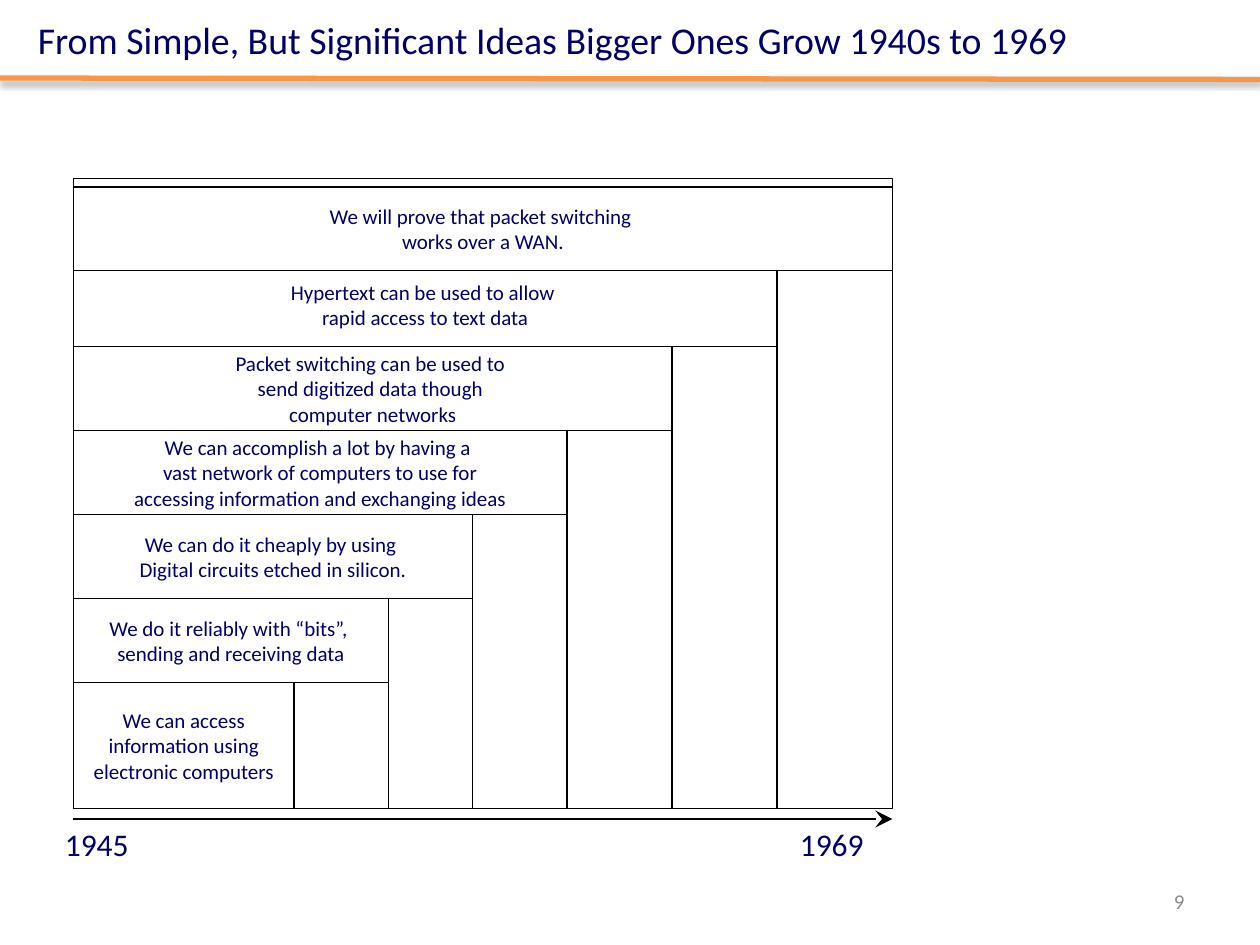
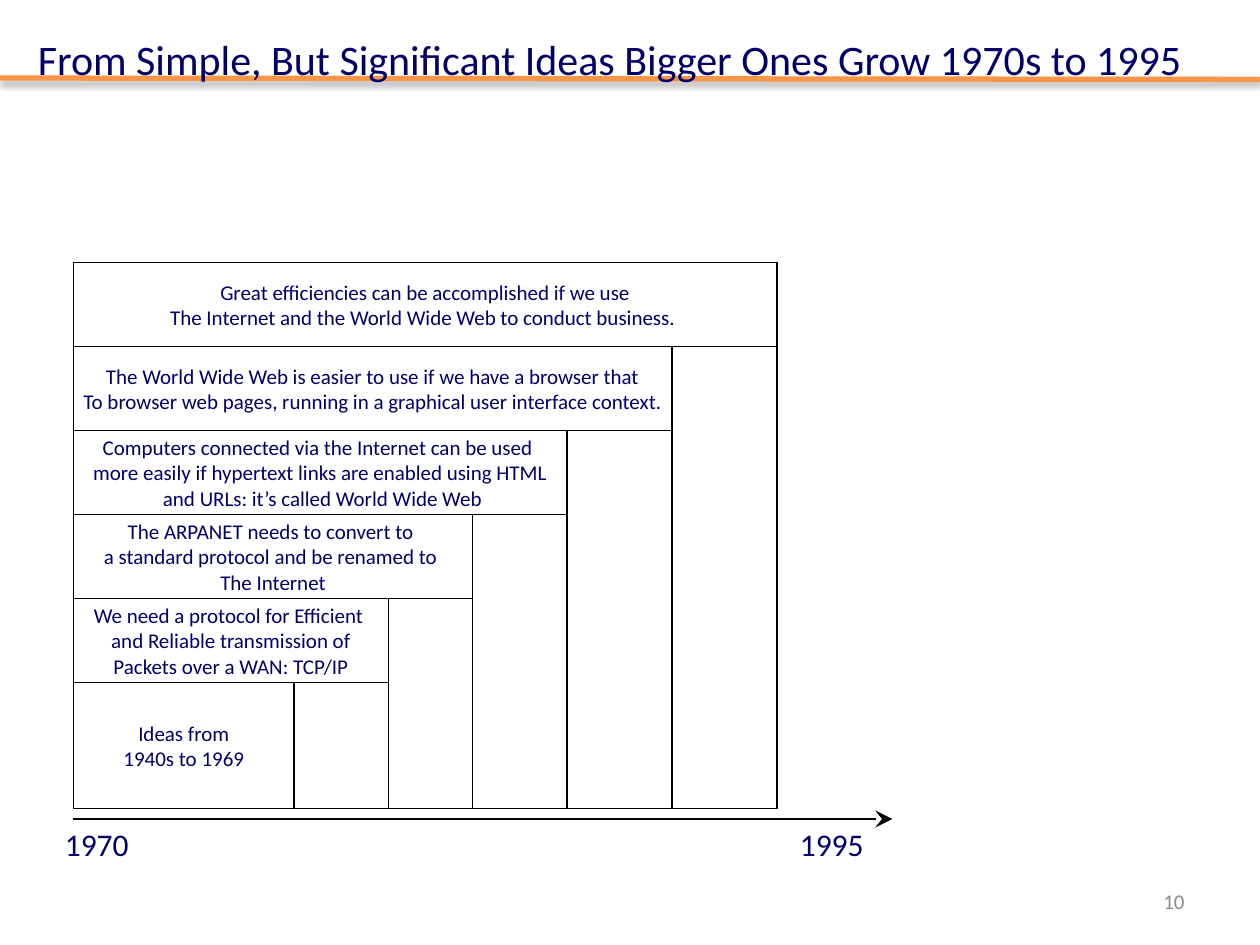
from lxml import etree
from pptx import Presentation
from pptx import util as u
from pptx.dml import color
from pptx.enum import shapes, text
from pptx.oxml import parse_xml
from pptx.oxml.ns import nsdecls, qn

Pt = u.Pt
COLORS = {"ink": "000066", "line": "000000", "paper": "FFFFFF", "rule": "F79646", "number": "8C8C8C"}
FONT = "Calibri"
LEFT, BOTTOM, FIRST_H, BAND_H = 42, 462, 72, 48
WIDTHS = [126, 180, 228, 282, 342, 402, 468]
TOPS = [BOTTOM - FIRST_H - BAND_H * i for i in range(len(WIDTHS))]

SLIDES = [
    {
        "title": "From Simple, But Significant Ideas Bigger Ones Grow 1940s to 1969",
        "title_box": (14.4, 9.4, 680.4, 26.6),
        "title_size": 21.6,
        "years": ("1945", "1969"),
        "number": "9",
        "top_gap": 4.8,
        "ideas": [
            ["We can access", " information using ", "electronic computers"],
            ["We do it reliably with “bits”, ", "sending and receiving data"],
            ["We can do it cheaply by using ", "Digital circuits etched in silicon."],
            ["We can accomplish a lot by having a ", "vast network of computers to use for",
             "accessing information and exchanging ideas"],
            ["Packet switching can be used to ", "send digitized data though ", "computer networks"],
            ["Hypertext can be used to allow ", "rapid access to text data"],
            ["We will prove that packet switching ", "works over a WAN."],
        ],
    },
    {
        "title": "From Simple, But Significant Ideas Bigger Ones Grow 1970s to 1995",
        "title_box": (14.4, 9.4, 692, 48),
        "title_size": 24,
        "years": ("1970", "1995"),
        "number": "10",
        "top_gap": 0,
        "ideas": [
            ["Ideas from", "1940s to 1969"],
            ["We need a protocol for Efficient ", "and Reliable transmission of",
             "Packets over a WAN: TCP/IP"],
            ["The ARPANET needs to convert to ", "a standard protocol and be renamed to ",
             "The Internet"],
            ["Computers connected via the Internet can be used ",
             "more easily if hypertext links are enabled using HTML",
             " and URLs: it’s called World Wide Web"],
            ["The World Wide Web is easier to use if we have a browser that",
             "To browser web pages, running in a graphical user interface context."],
            ["Great efficiencies can be accomplished if we use",
             "The Internet and the World Wide Web to conduct business. "],
        ],
    },
]


def write(sp, lines, size, align, ink="ink", **frame):
    tf = sp.text_frame
    for name, value in frame.items():
        setattr(tf, name, value)
    for i, line in enumerate(lines):
        p = tf.paragraphs[0] if i == 0 else tf.add_paragraph()
        p.alignment = align
        r = p.add_run()
        r.text = line
        for name, value in {"name": FONT, "size": Pt(size), "bold": False}.items():
            setattr(r.font, name, value)
        r.font.color.rgb = color.RGBColor.from_string(COLORS[ink])


def add_box(slide, top, width, height):
    sp = slide.shapes.add_shape(shapes.MSO_SHAPE.RECTANGLE, Pt(LEFT), Pt(top), Pt(width), Pt(height))
    sp.shadow.inherit = False
    sp.fill.solid()
    sp.fill.fore_color.rgb = color.RGBColor.from_string(COLORS["paper"])
    sp.line.color.rgb = color.RGBColor.from_string(COLORS["line"])
    sp.line.width = Pt(0.75)
    return sp


prs = Presentation()
prs.slide_width, prs.slide_height = Pt(720), Pt(540)
layout = prs.slide_layouts[5]
align = text.PP_ALIGN
middle = text.MSO_ANCHOR.MIDDLE

for page in SLIDES:
    slide = prs.slides.add_slide(layout)

    title = slide.shapes.title
    for name, value in zip(("left", "top", "width", "height"), page["title_box"]):
        setattr(title, name, Pt(value))
    write(title, [page["title"]], page["title_size"], align.LEFT,
          vertical_anchor=middle, word_wrap=True, auto_size=text.MSO_AUTO_SIZE.NONE)

    steps = list(zip(TOPS, WIDTHS, page["ideas"]))
    for top, width, _ in reversed(steps[1:]):
        add_box(slide, top, width, BOTTOM - top)
    for i, (top, width, lines) in enumerate(steps):
        gap = page["top_gap"] if i == len(steps) - 1 else 0
        band = add_box(slide, top + gap, width, BAND_H if i else FIRST_H)
        write(band, lines, 12, align.CENTER, vertical_anchor=middle, word_wrap=False)

    axis = slide.shapes.add_connector(shapes.MSO_CONNECTOR.STRAIGHT, Pt(LEFT), Pt(468),
                                      Pt(LEFT + WIDTHS[-1]), Pt(468))
    axis.line.color.rgb = color.RGBColor.from_string(COLORS["line"])
    axis.line.width = Pt(0.75)
    etree.SubElement(axis.line._get_or_add_ln(), qn("a:tailEnd"), type="stealth", w="lg", len="lg")
    etree.SubElement(axis.element.spPr, qn("a:effectLst"))

    for left, year in zip((30, 450), page["years"]):
        label = slide.shapes.add_textbox(Pt(left), Pt(468), Pt(62.6), Pt(36))
        write(label, [year], 18, align.LEFT, word_wrap=False,
              auto_size=text.MSO_AUTO_SIZE.SHAPE_TO_FIT_TEXT)

    number = slide.shapes.add_textbox(Pt(516), Pt(500.5), Pt(168), Pt(28.75))
    write(number, [page["number"]], 12, align.RIGHT, "number", vertical_anchor=middle, word_wrap=True)

rule = slide.shapes.add_connector(shapes.MSO_CONNECTOR.STRAIGHT, 0, Pt(44.6), Pt(720), Pt(45.4))
rule.line.color.rgb = color.RGBColor.from_string(COLORS["rule"])
rule.line.width = Pt(3)
rule.element.spPr.append(parse_xml(
    f'<a:effectLst {nsdecls("a")}><a:outerShdw blurRad="{Pt(3.1)}" dist="{Pt(1.8)}" dir="5400000" '
    f'rotWithShape="0"><a:srgbClr val="{COLORS["line"]}"><a:alpha val="35000"/></a:srgbClr>'
    '</a:outerShdw></a:effectLst>'))
layout.shapes.element.append(rule.element)

prs.save("out.pptx")
